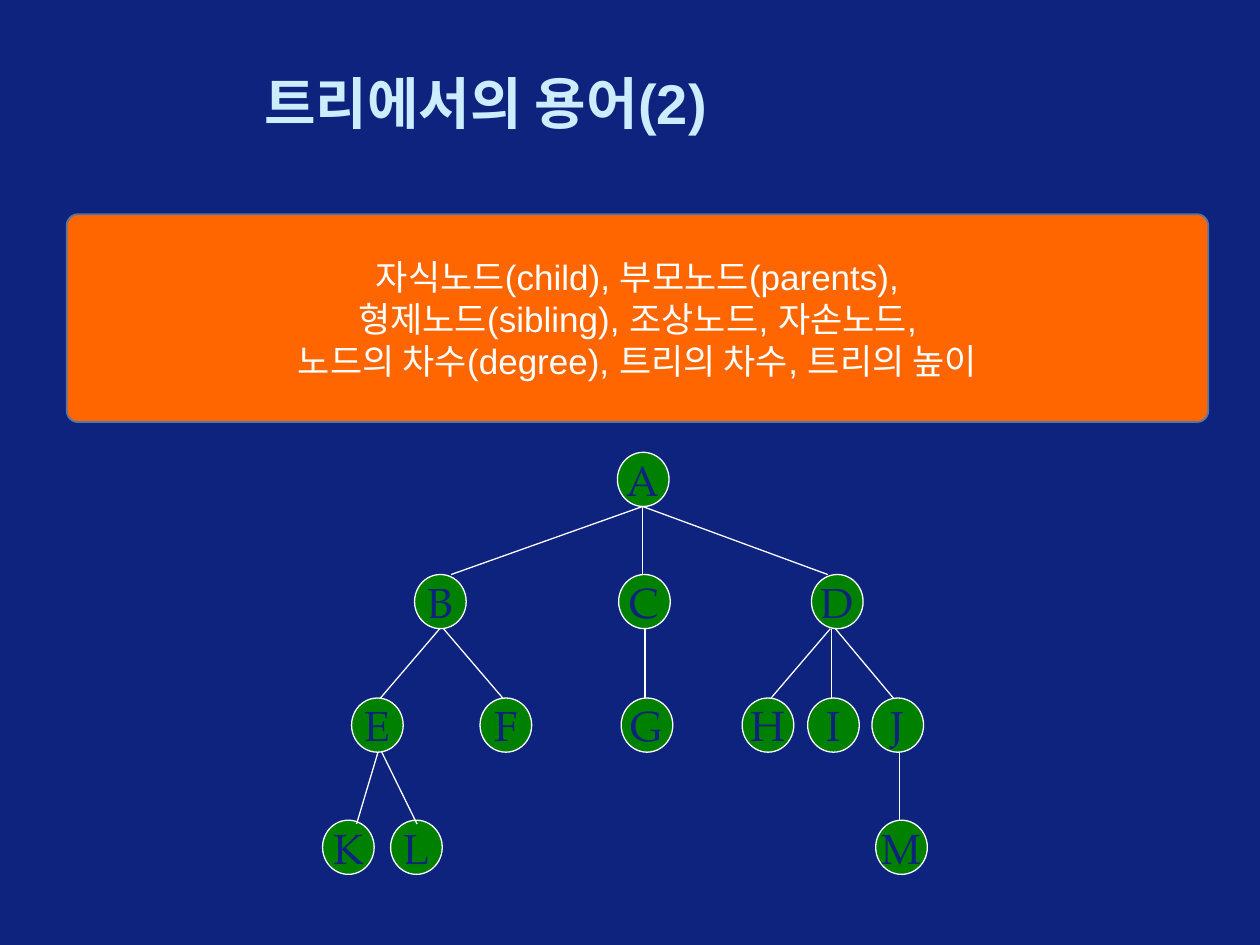
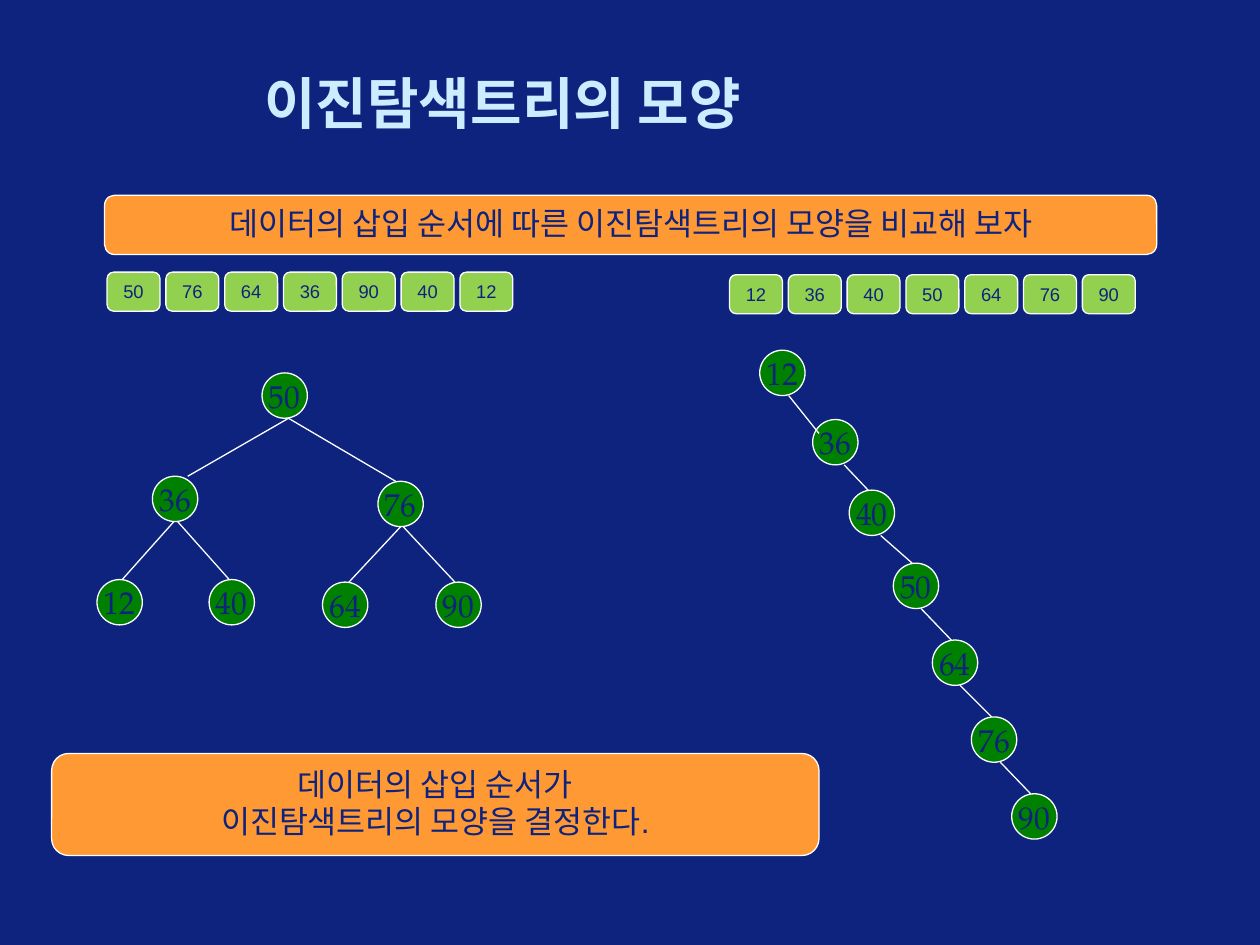
from lxml import etree
from pptx import Presentation
from pptx.dml.color import RGBColor
from pptx.enum.shapes import MSO_CONNECTOR, MSO_SHAPE
from pptx.enum.text import MSO_ANCHOR, PP_ALIGN
from pptx.oxml.ns import qn
from pptx.util import Inches, Pt

ROUND, OVAL = MSO_SHAPE.ROUNDED_RECTANGLE, MSO_SHAPE.OVAL
STRAIGHT = MSO_CONNECTOR.STRAIGHT
TOP, MIDDLE = MSO_ANCHOR.TOP, MSO_ANCHOR.MIDDLE
LEFT, CENTER = PP_ALIGN.LEFT, PP_ALIGN.CENTER

NAVY = RGBColor(0x0E, 0x23, 0x7E)
ICE = RGBColor(0xCC, 0xEC, 0xFF)
WHITE = RGBColor(0xFF, 0xFF, 0xFF)
ORANGE = RGBColor(0xFF, 0x66, 0x00)
AMBER = RGBColor(0xFF, 0x99, 0x33)
STEEL = RGBColor(0x53, 0x75, 0xA7)
GREEN = RGBColor(0x00, 0x80, 0x00)
LIME = RGBColor(0x92, 0xD0, 0x50)
SANS, SERIF = "Arial", "TeX Gyre Pagella"

# Content: slide 1
TERMS = [
    "자식노드(child), 부모노드(parents),",
    "형제노드(sibling), 조상노드, 자손노드,",
    "노드의 차수(degree), 트리의 차수, 트리의 높이",
]

# Trees: (label, left, top[, parent, edge start x, edge end x, edge overlap])
FAMILY = [
    ("A", 4.9, 3.59),
    ("B", 3.29, 4.56, "A", 5.1, 3.58),
    ("C", 4.91, 4.56, "A", 5.1, 5.1),
    ("D", 6.44, 4.56, "A", 5.1, 6.57),
    ("E", 2.79, 5.54, "B", 3.49, 3.02),
    ("F", 3.81, 5.54, "B", 3.52, 3.99),
    ("G", 4.93, 5.54, "C", 5.12, 5.12),
    ("H", 5.89, 5.54, "D", 6.59, 6.12),
    ("I", 6.41, 5.54, "D", 6.6, 6.6),
    ("J", 6.92, 5.54, "D", 6.63, 7.09),
    ("K", 2.56, 6.51, "E", 3.0, 2.83, 0.03),
    ("L", 3.1, 6.51, "E", 3.03, 3.31, 0.03),
    ("M", 6.95, 6.51, "J", 7.14, 7.14),
]

# Content: slide 2
TASK = ["데이터의 삽입 순서에 따른 이진탐색트리의 모양을 비교해 보자"]
RESULT = ["데이터의 삽입 순서가", "이진탐색트리의 모양을 결정한다."]
MIXED = [50, 76, 64, 36, 90, 40, 12]
BUSHY = [
    ("50", 2.08, 2.96),
    ("36", 1.21, 3.78, "50", 2.29, 1.49),
    ("76", 3.0, 3.82, "50", 2.29, 3.14),
    ("12", 0.77, 4.6, "36", 1.38, 0.97),
    ("40", 1.66, 4.6, "36", 1.41, 1.82),
    ("64", 2.56, 4.62, "76", 3.18, 2.77),
    ("90", 3.46, 4.62, "76", 3.2, 3.61),
]
SKEWED = [
    ("12", 6.03, 2.78),
    ("36", 6.45, 3.33, "12", 6.26, 6.5, 0.11),
    ("40", 6.74, 3.89, "36", 6.7, 6.89),
    ("50", 7.09, 4.47, "40", 6.99, 7.24),
    ("64", 7.4, 5.08, "50", 7.31, 7.55),
    ("76", 7.71, 5.69, "64", 7.62, 7.87),
    ("90", 8.03, 6.3, "76", 7.94, 8.18),
]

TILE_W, TILE_H, TILE_STEP = 0.42, 0.31, 2.8 / 6


def write(shape, lines, size, color, font=SANS, align=CENTER,
          anchor=TOP, bold=False, wrap=True):
    frame = shape.text_frame
    frame.word_wrap = wrap
    frame.vertical_anchor = anchor
    frame.text = "\n".join(lines)
    for para in frame.paragraphs:
        para.alignment = align
        para.font.name = font
        para.font.size = Pt(size)
        para.font.bold = bold
        para.font.color.rgb = color


def add_box(slide, kind, area, fill, line=WHITE, width=0.75):
    shape = slide.shapes.add_shape(kind, *map(Inches, area))
    shape.shadow.inherit = False
    shape.fill.solid()
    shape.fill.fore_color.rgb = fill
    shape.line.color.rgb = line
    shape.line.width = Pt(width)
    return shape


def add_edge(slide, *ends):
    edge = slide.shapes.add_connector(STRAIGHT, *map(Inches, ends))
    edge.line.color.rgb = WHITE
    edge.line.width = Pt(0.75)
    etree.SubElement(edge._element.spPr, qn("a:effectLst"))


def add_tree(slide, nodes, wide, high, size):
    tops = {node[0]: node[2] for node in nodes}
    for label, left, top, *link in nodes:
        oval = add_box(slide, OVAL, (left, top, wide, high), GREEN)
        write(oval, [label], size, NAVY, SERIF, anchor=MIDDLE, wrap=False)
        if link:
            parent, start, end, *overlap = link
            add_edge(slide, start, tops[parent] + high, end, top + sum(overlap))


def add_tiles(slide, values, left, top):
    for i, value in enumerate(values):
        area = (left + i * TILE_STEP, top, TILE_W, TILE_H)
        write(add_box(slide, ROUND, area, LIME), [str(value)], 10.5, NAVY)


def add_slide(deck, title):
    slide = deck.slides.add_slide(deck.slide_layouts[6])
    slide.background.fill.solid()
    slide.background.fill.fore_color.rgb = NAVY
    box = slide.shapes.add_textbox(*map(Inches, (2, 0.5, 7.58, 0.62)))
    write(box, [title], 32, ICE, align=LEFT, anchor=MIDDLE, bold=True)
    return slide


def main():
    deck = Presentation()
    deck.slide_width, deck.slide_height = Inches(10), Inches(7.5)

    # Slide 1: tree terms
    slide = add_slide(deck, "트리에서의 용어(2)")
    panel = add_box(slide, ROUND, (0.53, 1.7, 9.06, 1.65), ORANGE, STEEL, 1)
    panel.adjustments[0] = 0.054
    write(panel, TERMS, 20, WHITE, anchor=MIDDLE)
    add_tree(slide, FAMILY, 0.41, 0.43, 24)

    # Slide 2: insertion order and tree shape
    slide = add_slide(deck, "이진탐색트리의 모양")
    for lines, area in ((TASK, (0.83, 1.55, 8.35, 0.47)),
                        (RESULT, (0.41, 5.98, 6.09, 0.81))):
        write(add_box(slide, ROUND, area, AMBER), lines, 18, NAVY)
    add_tiles(slide, MIXED, 0.85, 2.16)
    add_tiles(slide, sorted(MIXED), 5.79, 2.18)
    for nodes in (BUSHY, SKEWED):
        add_tree(slide, nodes, 0.36, 0.36, 18)

    deck.save("out.pptx")


if __name__ == "__main__":
    main()
